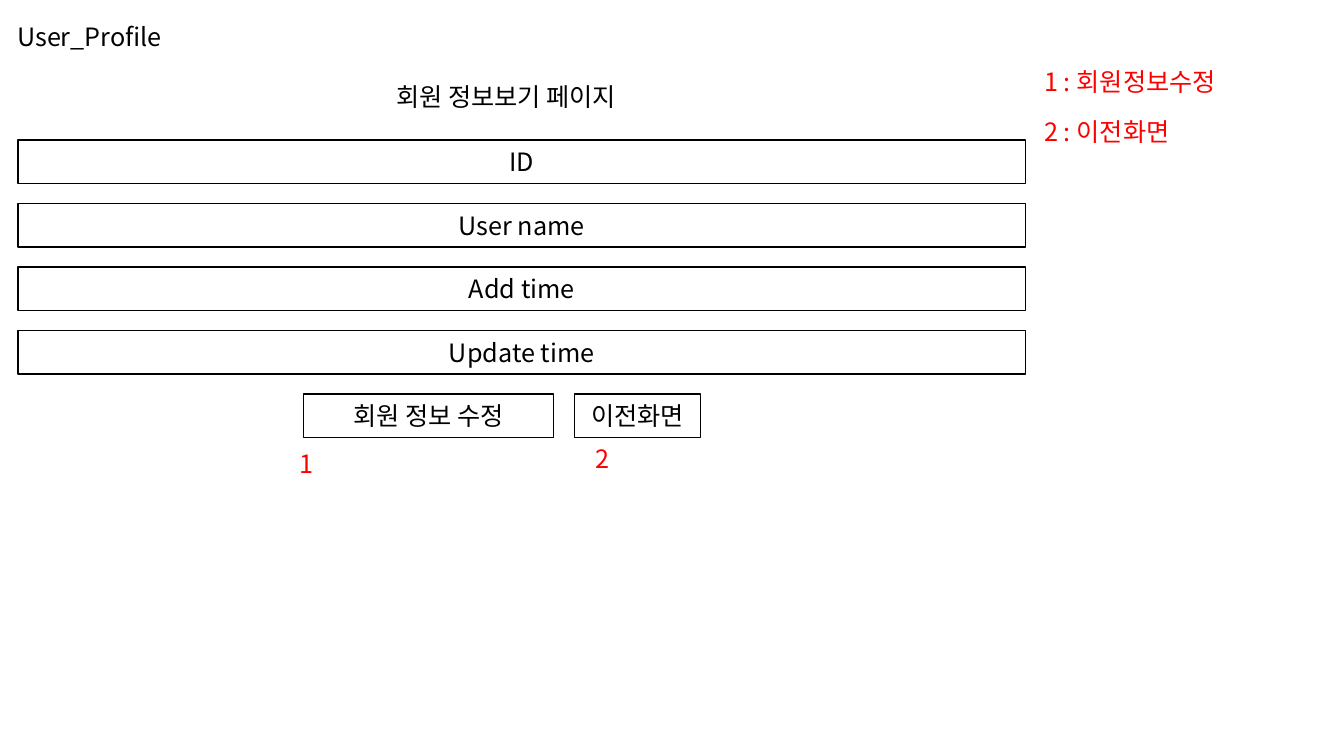
import pptx
import pptx.util
import pptx.dml.color
import pptx.enum.shapes
import pptx.enum.text
import lxml.etree

Inches = pptx.util.Inches
Align = pptx.enum.text.PP_ALIGN
Anchor = pptx.enum.text.MSO_ANCHOR

FONT = "Noto Sans CJK KR"
BLACK, WHITE, RED = "000000", "FFFFFF", "FF0000"

# Content
TITLE = "User_Profile"
HEADING = "회원 정보보기 페이지"
FIELDS = ["ID", "User name", "Add time", "Update time"]
BUTTONS = [("회원 정보 수정", 3.01, 2.48), ("이전화면", 5.7, 1.25)]  # text, left, width
MARKERS = [("1", 2.87, 4.4), ("2", 5.81, 4.35)]  # text, left, top
LEGEND = ["1 : 회원정보수정", "2 : 이전화면"]

# Layout
FIELD_LEFT, FIELD_TOP, FIELD_WIDTH = 0.18, 1.39, 9.99
ROW_HEIGHT, ROW_STEP = 0.43, 0.63
LEGEND_LEFT, LEGEND_TOP, LEGEND_STEP = 10.26, 0.61, 0.49
TEXT_HEIGHT = 0.4


def rgb(color):
    return pptx.dml.color.RGBColor.from_string(color)


def write(shape, text, color, align, anchor):
    frame = shape.text_frame
    frame.text = text
    frame.word_wrap = True
    frame.auto_size = pptx.enum.text.MSO_AUTO_SIZE.NONE
    frame.vertical_anchor = anchor
    para = frame.paragraphs[0]
    para.alignment = align
    for span in para.runs:
        span.font.name = FONT
        span.font.size = pptx.util.Pt(18)
        span.font.color.rgb = rgb(color)
        # Korean glyphs take the East Asian typeface
        east_asian = lxml.etree.SubElement(
            span.font._element, pptx.oxml.ns.qn("a:ea"))
        east_asian.set("typeface", FONT)


def add_label(text, left, top, width, color):
    label = slide.shapes.add_textbox(
        Inches(left), Inches(top), Inches(width), Inches(TEXT_HEIGHT))
    write(label, text, color, Align.LEFT, Anchor.TOP)


def add_box(text, left, top, width):
    box = slide.shapes.add_shape(
        pptx.enum.shapes.MSO_SHAPE.RECTANGLE,
        Inches(left), Inches(top), Inches(width), Inches(ROW_HEIGHT))
    box.shadow.inherit = False
    box.fill.solid()
    box.fill.fore_color.rgb = rgb(WHITE)
    box.line.color.rgb = rgb(BLACK)
    box.line.width = pptx.util.Pt(1)
    write(box, text, BLACK, Align.CENTER, Anchor.MIDDLE)


deck = pptx.Presentation()
deck.slide_width, deck.slide_height = Inches(13.33), Inches(7.5)
slide = deck.slides.add_slide(deck.slide_layouts.get_by_name("Title Only"))

# Page title and heading
title = slide.shapes.title
title.left, title.top = Inches(0.07), Inches(0.16)
title.width, title.height = Inches(3.43), Inches(TEXT_HEIGHT)
write(title, TITLE, BLACK, Align.LEFT, Anchor.TOP)
add_label(HEADING, 3.83, 0.76, 2.71, BLACK)

# Profile fields, with the buttons on the next row
for row, field in enumerate(FIELDS):
    add_box(field, FIELD_LEFT, FIELD_TOP + row * ROW_STEP, FIELD_WIDTH)
button_top = FIELD_TOP + len(FIELDS) * ROW_STEP
for text, left, width in BUTTONS:
    add_box(text, left, button_top, width)

# Red button markers and their legend
for text, left, top in MARKERS:
    add_label(text, left, top, 0.5, RED)
for row, text in enumerate(LEGEND):
    add_label(text, LEGEND_LEFT, LEGEND_TOP + row * LEGEND_STEP, 2.92, RED)

deck.save("out.pptx")
